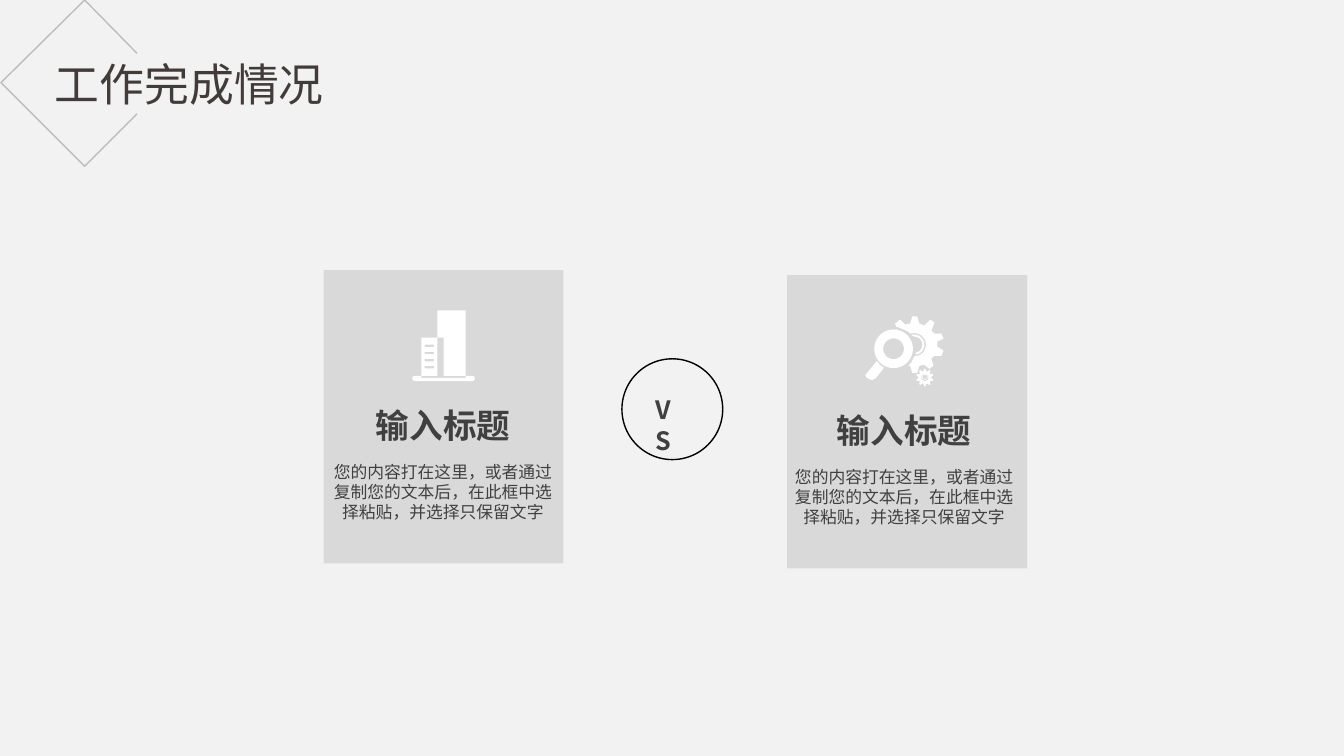
"""Build a slide that sets two titled cards against each other around a VS badge."""

from dataclasses import dataclass
from math import cos, radians, sin

from lxml import etree
from pptx import Presentation
from pptx.dml.color import RGBColor
from pptx.enum.shapes import MSO_SHAPE
from pptx.enum.text import MSO_ANCHOR, MSO_AUTO_SIZE, PP_ALIGN
from pptx.oxml.ns import qn
from pptx.shapes.autoshape import Shape
from pptx.slide import Slide
from pptx.util import Emu, Inches, Pt

RECTANGLE, OVAL = MSO_SHAPE.RECTANGLE, MSO_SHAPE.OVAL
CENTER, LEFT = PP_ALIGN.CENTER, PP_ALIGN.LEFT
TOP, MIDDLE = MSO_ANCHOR.TOP, MSO_ANCHOR.MIDDLE
NO_AUTOFIT = MSO_AUTO_SIZE.NONE

CELL = Inches(0.1)
COLUMNS, ROWS = 133.33, 75
HEADING_FONT, BODY_FONT = "Noto Sans CJK SC", "Calibri"
DARK, WHITE = "404040", "FFFFFF"
HEADING = "输入标题"
BODY = "您的内容打在这里，或者通过复制您的文本后，在此框中选择粘贴，并选择只保留文字"

Points = list[tuple[float, float]]
Outline = list[Points]


@dataclass(frozen=True)
class Box:
    """A rectangle in grid columns and rows."""

    column: float
    row: float
    columns: float
    rows: float


@dataclass(frozen=True)
class TextStyle:
    """The look of a text."""

    size: float
    font: str = HEADING_FONT
    color: str = DARK
    bold: bool = False
    align: int = CENTER
    anchor: int = MIDDLE
    inset_rows: float = 0
    line_points: float | None = None


@dataclass(frozen=True)
class Card:
    """A card with its icon."""

    column: float
    row: float
    text_shift: float
    icon: list[Outline]


def cells(count: float) -> Emu:
    """Convert grid cells to a length."""
    return Emu(round(count * CELL))


def color(value: str) -> RGBColor:
    """Convert a hex string to a colour."""
    return RGBColor.from_string(value)


def arc(x: float, y: float, radius: float, start: float = 0, end: float = 360) -> Points:
    """Return points along an arc, with angles clockwise from the right."""
    angles = [radians(start + (end - start) * step / 36) for step in range(37)]
    return [(x + radius * cos(angle), y + radius * sin(angle)) for angle in angles]


def gear(x: float, y: float, outer: float, root: float, teeth: int) -> Points:
    """Return the rim of a gear."""
    step = 360 / teeth
    corners = [(-0.33, root), (-0.14, outer), (0.14, outer), (0.33, root)]
    angles = [(radians(step * (tooth + 0.5 + share)), radius)
              for tooth in range(teeth) for share, radius in corners]
    return [(x + radius * cos(angle), y + radius * sin(angle)) for angle, radius in angles]


def slot(x: float, y: float, width: float, height: float) -> Points:
    """Return a window slot with pointed ends."""
    bevel = height / 3
    return [(x, y + height / 2), (x + bevel, y), (x + width - bevel, y),
            (x + width, y + height / 2), (x + width - bevel, y + height), (x + bevel, y + height)]


BUILDING_ICON: list[Outline] = [
    [[(44, 37.3), (46.2, 37.3), (46.2, 30.8), (43.4, 30.8), (43.4, 33.5), (44, 33.5)]],
    [[(41.8, 33.5), (43.4, 33.5), (43.4, 37.3), (41.8, 37.3)],
     *(slot(42.1, 34.2 + 0.7 * floor, 1, 0.24) for floor in range(4))],
    [[(41.8, 37.3), (41.8, 37.5), (46.2, 37.5), (46.2, 37.3),
      *arc(46.85, 37.55, 0.25, -90, 90), *arc(41.15, 37.55, 0.25, 90, 270)]],
]
LARGE_GEAR: Points = [
    (93, 33.9), (93.6, 33.6), (93.4, 33.1), (92.7, 33.1), (92.4, 32.8), (92.7, 32),
    (92.3, 31.7), (91.7, 32.3), (91.2, 32.1), (91, 31.4), (90.5, 31.4), (90.3, 32.1),
    (89.8, 32.2), (89.3, 31.7), (88.8, 32.1), (88.9, 32.4), (89.2, 32.5), (90.1, 32.9),
    (90.3, 33.1), *arc(90.7, 34.2, 1.15, -90, 90), (90.4, 36), (90.1, 36.3), (90.3, 36.3),
    (90.5, 37), (91, 37), (91.2, 36.3), (91.7, 36.2), (92.2, 36.6), (92.6, 36.3),
    (92.4, 35.6), (92.7, 35.3), (93.4, 35.3), (93.6, 34.8), (93, 34.4),
]
SEARCH_ICON: list[Outline] = [
    [LARGE_GEAR],
    [arc(91.75, 37.4, 0.28), arc(91.75, 37.4, 0.22)],
    [gear(91.75, 37.45, 0.86, 0.65, 10), arc(91.75, 37.45, 0.35)],
    [arc(90.7, 34.2, 1, -107, 80) + arc(90.7, 34.2, 0.8, 80, -90)],
    [arc(88.65, 34.6, 1.92), arc(88.65, 34.6, 1.03)],
    [[(87, 35.8), (86.1, 36.9), (85.85, 37.2), (85.95, 37.45), (86.2, 37.6), (86.55, 37.7),
      (86.9, 37.5), (87.7, 36.5), (87.3, 36.2)]],
]
CARDS = [Card(32.1, 26.8, 0, BUILDING_ICON), Card(78.1, 27.3, -0.25, SEARCH_ICON)]
DIAMOND: Points = [(13.6, 5.3), (8.4, 0), (0.1, 8.2), (8.4, 16.5), (13.6, 11.3)]


def place(shape: Shape, box: Box) -> None:
    """Move and size a shape on the grid."""
    shape.left, shape.top = cells(box.column), cells(box.row)
    shape.width, shape.height = cells(box.columns), cells(box.rows)


def write(shape: Shape, text: str, style: TextStyle, wrap: bool = True) -> None:
    """Put one formatted paragraph into a shape."""
    frame = shape.text_frame
    frame.text = text
    frame.auto_size, frame.word_wrap = NO_AUTOFIT, wrap
    frame.vertical_anchor = style.anchor
    frame.margin_top = frame.margin_bottom = cells(style.inset_rows)
    paragraph = frame.paragraphs[0]
    paragraph.alignment = style.align
    if style.line_points:
        paragraph.line_spacing = Pt(style.line_points)
    font = paragraph.font
    font.size, font.bold, font.name = Pt(style.size), style.bold, style.font
    font.color.rgb = color(style.color)
    defaults = paragraph._p.pPr.find(qn("a:defRPr"))
    etree.SubElement(defaults, qn("a:ea"), typeface=style.font)


def add_text(slide: Slide, box: Box, text: str, style: TextStyle, wrap: bool = True) -> None:
    """Add a text box."""
    shape = slide.shapes.add_textbox(0, 0, 0, 0)
    place(shape, box)
    write(shape, text, style, wrap)


def paint(shape: Shape, fill: str | None = None, line: str | None = None) -> None:
    """Set the fill and line of a shape and drop its shadow."""
    shape.shadow.inherit = False
    if fill:
        shape.fill.solid()
        shape.fill.fore_color.rgb = color(fill)
    else:
        shape.fill.background()
    if line:
        shape.line.color.rgb = color(line)
        shape.line.width = Pt(1)
    else:
        shape.line.fill.background()


def add_outline(slide: Slide, outline: Outline, closed: bool = True) -> Shape:
    """Add a freeform made of one or more contours."""
    contours = [[(cells(x), cells(y)) for x, y in points] for points in outline]
    builder = slide.shapes.build_freeform(*contours[0][0])
    builder.add_line_segments(contours[0][1:], close=closed)
    for contour in contours[1:]:
        builder.move_to(*contour[0])
        builder.add_line_segments(contour[1:], close=closed)
    return builder.convert_to_shape()


def add_card(slide: Slide, card: Card) -> None:
    """Add a card with its heading, body and icon."""
    panel = slide.shapes.add_shape(RECTANGLE, 0, 0, 0, 0)
    place(panel, Box(card.column, card.row, 23.8, 29.1))
    paint(panel, fill="D9D9D9")
    left = card.column + card.text_shift
    add_text(slide, Box(left + 4.1, card.row + 12.9, 15.5, 5), HEADING,
             TextStyle(24, bold=True), wrap=False)
    add_text(slide, Box(left, card.row + 18.5, 23.7, 7.1), BODY,
             TextStyle(12, BODY_FONT, anchor=TOP, inset_rows=0.5))
    for outline in card.icon:
        paint(add_outline(slide, outline), fill=WHITE)


def main() -> None:
    """Build and save the slide."""
    presentation = Presentation()
    presentation.slide_width, presentation.slide_height = cells(COLUMNS), cells(ROWS)
    slide = presentation.slides.add_slide(presentation.slide_layouts[5])
    slide.background.fill.solid()
    slide.background.fill.fore_color.rgb = color("F2F2F2")
    for card in CARDS:
        add_card(slide, card)
    badge = slide.shapes.add_shape(OVAL, 0, 0, 0, 0)
    place(badge, Box(61.7, 35.6, 10, 10))
    paint(badge, line="000000")
    add_text(slide, Box(64, 38.6, 5, 4), "VS", TextStyle(
        18, bold=True, align=LEFT, anchor=TOP, inset_rows=0.5, line_points=22))
    place(slide.shapes.title, Box(3.7, 5.1, 30.2, 6.4))
    write(slide.shapes.title, "工作完成情况", TextStyle(32, color="413B39"))
    diamond = add_outline(slide, [DIAMOND], closed=False)
    paint(diamond, line="808080")
    line_color = diamond.line._ln.find(".//" + qn("a:srgbClr"))
    etree.SubElement(line_color, qn("a:alpha"), val="45000")
    presentation.save("out.pptx")


if __name__ == "__main__":
    main()
